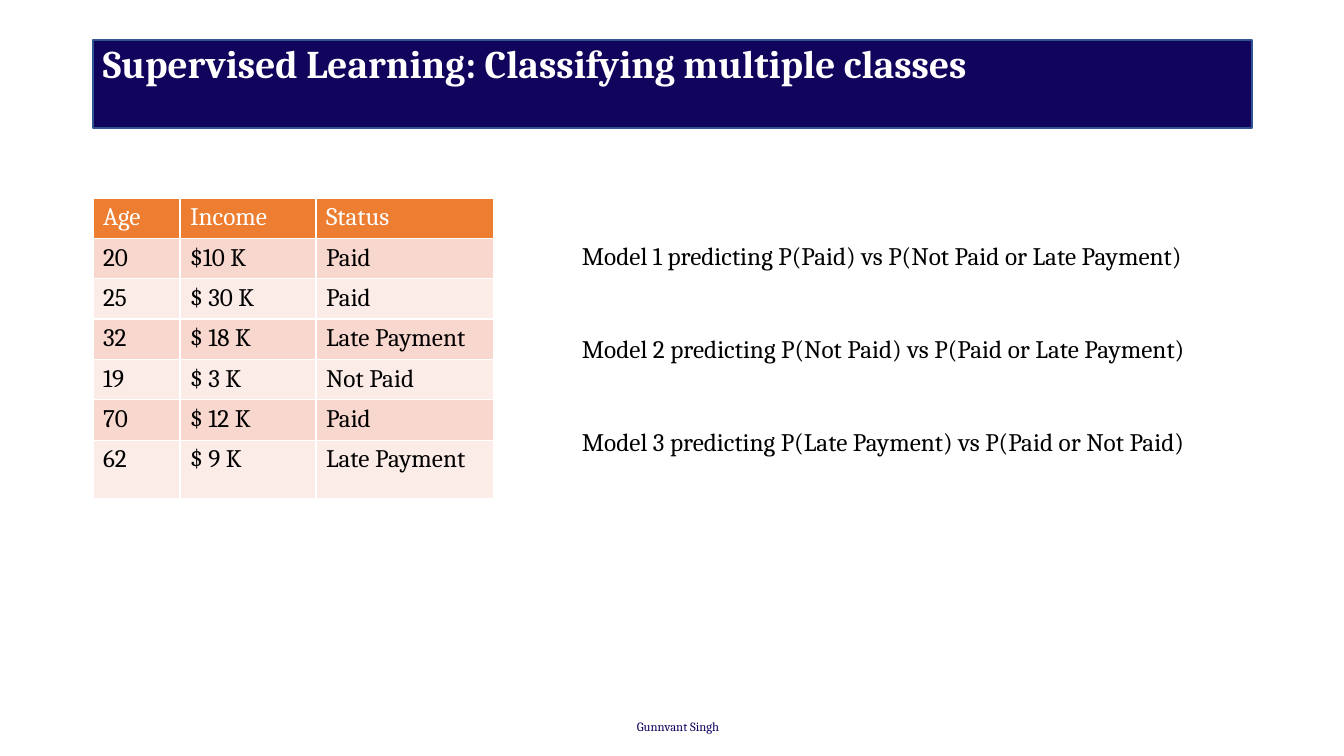
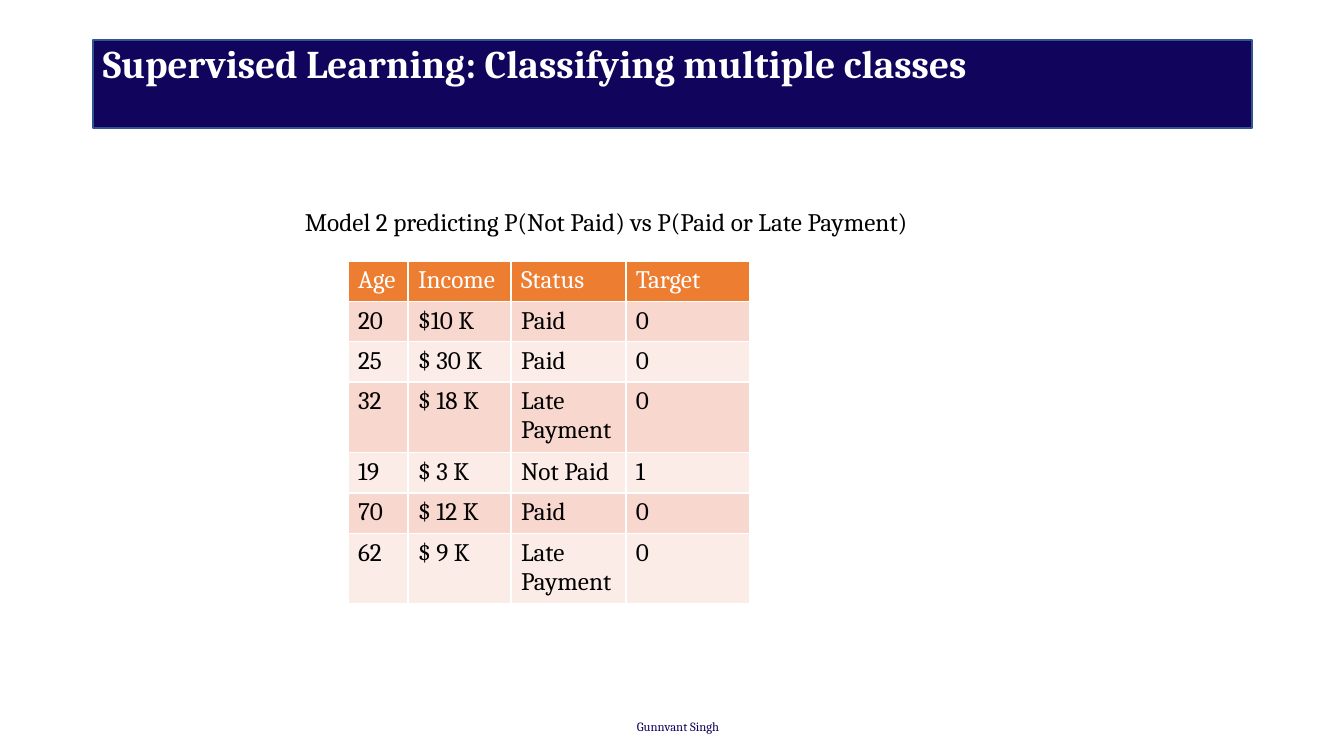
from lxml import etree
from pptx import Presentation
from pptx import util as u
from pptx.dml import color
from pptx.enum import shapes, text
from pptx.oxml import ns

PX = 914400 / 100.8  # EMU in one px
FONT = "Cambria"
COLORS = {
    "navy": "11045C", "band_line": "325491", "white": "FFFFFF", "black": "000000",
    "header": "ED7D31", "row_dark": "F8D7CE", "row_light": "FCECE8",
}
TITLE = "Supervised Learning: Classifying multiple classes"
AUTHOR = "Gunnvant Singh"
MODELS = [
    "Model 1 predicting P(Paid) vs P(Not Paid or Late Payment)",
    "Model 2 predicting P(Not Paid) vs P(Paid or Late Payment)",
    "Model 3 predicting P(Late Payment) vs P(Paid or Not Paid)",
]
LOAN_HEADER = ["Age", "Income", "Status"]
LOANS = [
    ["20", "$10 K", "Paid"],
    ["25", "$ 30 K", "Paid"],
    ["32", "$ 18 K", "Late Payment"],
    ["19", "$ 3 K", "Not Paid"],
    ["70", "$ 12 K", "Paid"],
    ["62", "$ 9 K", "Late Payment"],
]
ROW_HEIGHT, LAST_ROW_HEIGHT = 39, 58


def px(length):
    return u.Emu(round(length * PX))


def rgb(name):
    return color.RGBColor.from_string(COLORS[name])


def style_font(paragraph, size, color_name, bold=False):
    font = paragraph.font
    font.name, font.size, font.bold = FONT, u.Pt(size), bold
    font.color.rgb = rgb(color_name)


def add_text(slide, box, words, size=18, color_name="black", bold=False):
    frame = slide.shapes.add_textbox(*map(px, box)).text_frame
    frame.word_wrap = True
    frame.vertical_anchor = text.MSO_ANCHOR.TOP
    paragraph = frame.paragraphs[0]
    paragraph.text = words
    style_font(paragraph, size, color_name, bold)
    return paragraph


def add_borders(cell):
    properties = cell._tc.get_or_add_tcPr()
    for side in ("a:lnL", "a:lnR", "a:lnT", "a:lnB"):
        line = etree.SubElement(properties, ns.qn(side), w=str(u.Pt(1)))
        fill = etree.SubElement(line, ns.qn("a:solidFill"))
        etree.SubElement(fill, ns.qn("a:srgbClr"), val=COLORS["white"])


def add_table(slide, left, top, column_widths, rows):
    heights = [ROW_HEIGHT] * (len(rows) - 1) + [LAST_ROW_HEIGHT]
    box = (left, top, sum(column_widths), sum(heights))
    table = slide.shapes.add_table(len(rows), len(column_widths), *map(px, box)).table
    for column, width in zip(table.columns, column_widths):
        column.width = px(width)
    for index, (row, height, values) in enumerate(zip(table.rows, heights, rows)):
        row.height = px(height)
        fill_name = "header" if index == 0 else ("row_light", "row_dark")[index % 2]
        for cell, value in zip(row.cells, values):
            cell.text = value
            style_font(cell.text_frame.paragraphs[0], 18, "black" if index else "white")
            add_borders(cell)
            cell.fill.solid()
            cell.fill.fore_color.rgb = rgb(fill_name)


def add_slide(presentation):
    """Blank slide with the shared title band and footer."""
    slide = presentation.slides.add_slide(presentation.slide_layouts[6])
    band = slide.shapes.add_shape(shapes.MSO_SHAPE.RECTANGLE, *map(px, (93, 40, 1159, 88)))
    band.shadow.inherit = False
    band.fill.solid()
    band.fill.fore_color.rgb = rgb("navy")
    band.line.color.rgb = rgb("band_line")
    band.line.width = u.Pt(1)
    add_text(slide, (627, 714, 109, 25), AUTHOR, 9, "navy")
    title = add_text(slide, (93, 40, 1159, 146), TITLE, 28, "white", bold=True)
    title.line_spacing = 0.9
    return slide


def main():
    presentation = Presentation()
    presentation.slide_width, presentation.slide_height = px(1344), px(756)

    # Loans and the three one-versus-rest models
    slide = add_slide(presentation)
    add_table(slide, 93, 198, [87, 136, 178], [LOAN_HEADER] + LOANS)
    for index, model in enumerate(MODELS):
        add_text(slide, (572, 235 + 93 * index, 666, 40), model)

    # Target column for the second model
    slide = add_slide(presentation)
    targets = [loan + [str(int(loan[-1] == "Not Paid"))] for loan in LOANS]
    add_table(slide, 348, 261, [60, 103, 115, 124], [LOAN_HEADER + ["Target"]] + targets)
    add_text(slide, (295, 201, 666, 40), MODELS[1])

    presentation.save("out.pptx")


if __name__ == "__main__":
    main()
